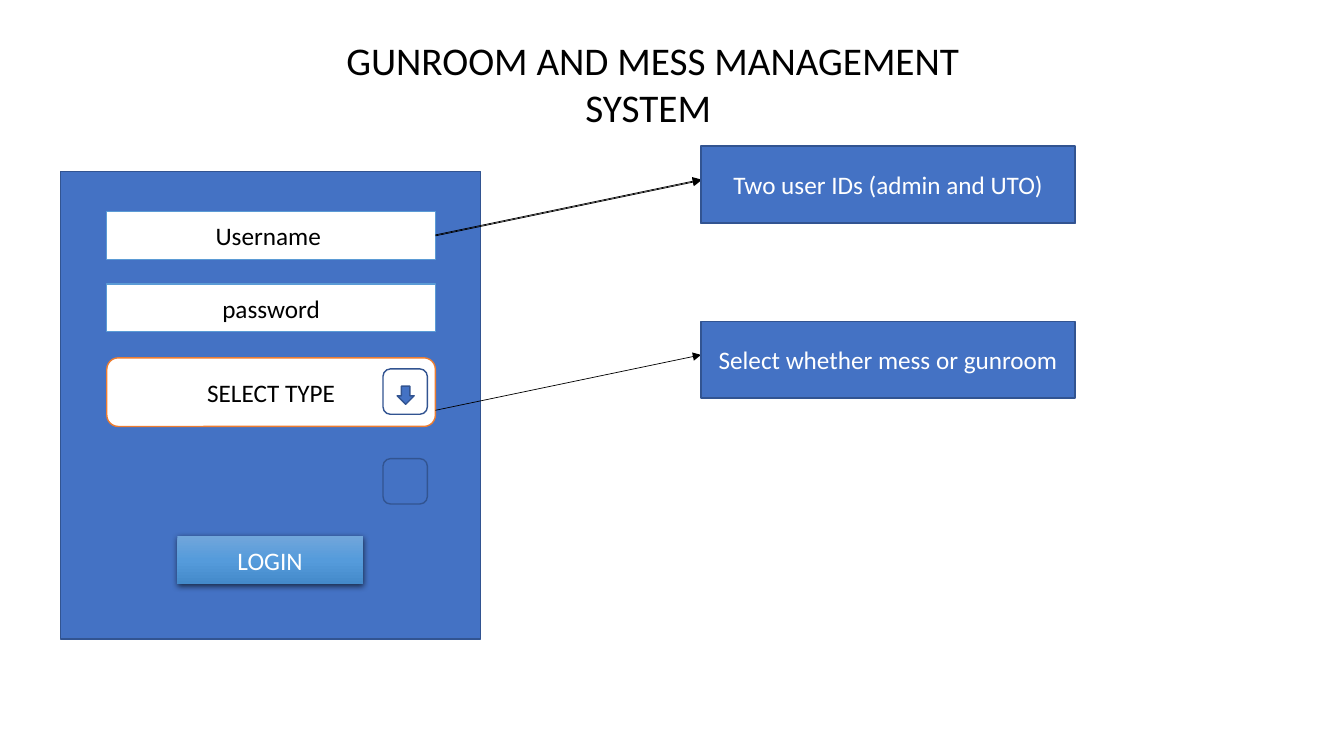
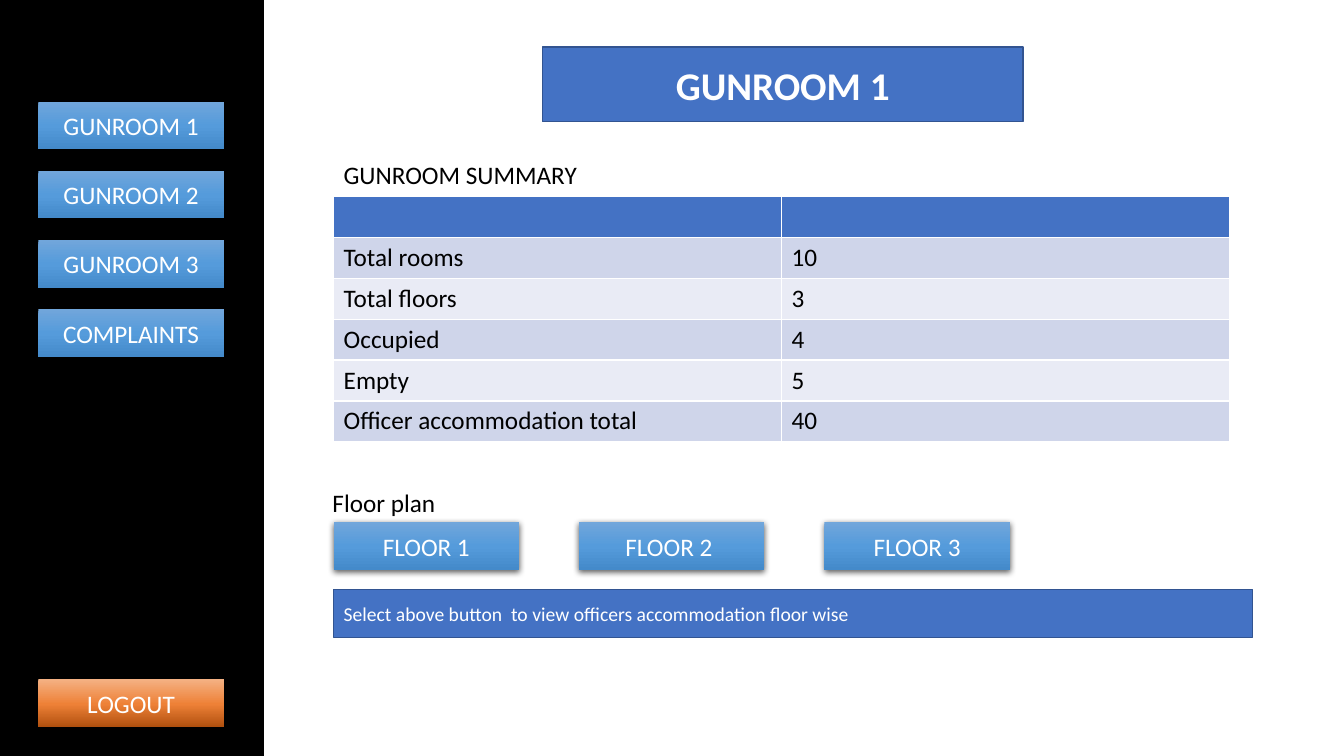
from dataclasses import dataclass
from pptx import Presentation
from pptx.dml.color import RGBColor
from pptx.enum.shapes import MSO_CONNECTOR, MSO_SHAPE
from pptx.enum.text import MSO_ANCHOR, MSO_AUTO_SIZE, PP_ALIGN
from pptx.oxml import parse_xml
from pptx.oxml.ns import nsdecls, qn
from pptx.util import Pt


@dataclass(frozen=True)
class Theme:
    font: str = "Calibri"
    head: int = 28
    body: int = 18
    note: int = 14
    white: str = "FFFFFF"
    black: str = "000000"
    blue: str = "4472C4"
    edge: str = "325491"
    sky: str = "5B9BD5"
    orange: str = "ED7D31"
    bands: tuple = ("CFD5EA", "E9EBF5")
    cool: tuple = ((0, "71A6DB"), (50, "559BDB"), (100, "448ACA"))
    warm: tuple = ((0, "F4B183"), (52, "EE8137"), (100, "B0500F"))


T = Theme()
KEY = 132.5, 34  # width and height of every button


# Shared parts
def color(code):
    return RGBColor.from_string(code)


def write(frame, text, size=T.body, ink=T.white, align=PP_ALIGN.CENTER,
          anchor=MSO_ANCHOR.MIDDLE, bold=False):
    frame.text = text
    frame.word_wrap = True
    frame.auto_size = MSO_AUTO_SIZE.NONE
    frame.vertical_anchor = anchor
    for para in frame.paragraphs:
        para.alignment = align
        for run in para.runs:
            font = run.font
            font.name, font.size, font.bold = T.font, Pt(size), bold
            font.color.rgb = color(ink)


def place(shape, box):
    shape.left, shape.top, shape.width, shape.height = map(Pt, box)


def paint(shape, fill, line):
    if fill:
        shape.fill.solid()
        shape.fill.fore_color.rgb = color(fill)
    else:
        shape.fill.background()
    if line:
        shape.line.color.rgb = color(line)
        shape.line.width = Pt(1)
    else:
        shape.line.fill.background()


def block(slide, box, text="", fill=T.blue, line=T.edge,
          kind=MSO_SHAPE.RECTANGLE, **style):
    shape = slide.shapes.add_shape(kind, *map(Pt, box))
    shape.shadow.inherit = False
    paint(shape, fill, line)
    if text:
        write(shape.text_frame, text, **style)
    return shape


def button(slide, left, top, text, stops=T.cool, shade=True):
    shape = block(slide, (left, top, *KEY), text, None, None)
    props = shape.element.spPr
    marks = "".join(f'<a:gs pos="{pos * 1000}"><a:srgbClr val="{code}"/></a:gs>'
                    for pos, code in stops)
    props.replace(props.find(qn("a:noFill")), parse_xml(
        f'<a:gradFill {nsdecls("a")}><a:gsLst>{marks}</a:gsLst>'
        '<a:lin ang="5400000" scaled="0"/></a:gradFill>'))
    if shade:
        props.find(qn("a:effectLst")).append(parse_xml(
            f'<a:outerShdw {nsdecls("a")} blurRad="57150" dist="19050" '
            'dir="5400000" algn="ctr" rotWithShape="0">'
            f'<a:srgbClr val="{T.black}"><a:alpha val="63000"/></a:srgbClr>'
            '</a:outerShdw>'))


def label(slide, box, text):
    shape = slide.shapes.add_textbox(*map(Pt, box))
    write(shape.text_frame, text, ink=T.black, align=PP_ALIGN.LEFT,
          anchor=MSO_ANCHOR.TOP)


def title(slide, box, text, **style):
    shape = slide.shapes.title
    place(shape, box)
    write(shape.text_frame, text, size=T.head, **style)
    return shape


def arrow(slide, start, end):
    link = slide.shapes.add_connector(MSO_CONNECTOR.STRAIGHT,
                                      *map(Pt, (*start, *end)))
    link.line.color.rgb = color(T.black)
    link.line.width = Pt(0.5)
    link.line._get_or_add_ln().append(
        parse_xml(f'<a:tailEnd {nsdecls("a")} type="triangle"/>'))
    link.element.spPr.append(parse_xml(f'<a:effectLst {nsdecls("a")}/>'))


# Login slide
def form(slide, box):
    left, top, wide, tall = box
    block(slide, box)
    edge, span = left + 33.1, 234.7
    for step, text in enumerate(("Username ", "password")):
        block(slide, (edge, top + 28.8 + 51.8 * step, span, 34), text,
              T.white, T.sky, ink=T.black)
    block(slide, (edge, top + 133.2, span, 49), "SELECT TYPE", T.white,
          T.orange, MSO_SHAPE.ROUNDED_RECTANGLE, ink=T.black)
    block(slide, (left + 240.5, top + 153.4, 12.2, 13),
          kind=MSO_SHAPE.DOWN_ARROW)
    for drop in (141.1, 205.2):
        block(slide, (left + 230.4, top + drop, 31.7, 32.4), fill=None,
              kind=MSO_SHAPE.ROUNDED_RECTANGLE)
    button(slide, left + 83.5, top + 260.6, "LOGIN")
    return edge + span


def hint(slide, box, text, start):
    left, top = box[:2]
    arrow(slide, (start, top + 63.4), (left, top + 23.8))
    block(slide, box, text)


def login(slide):
    title(slide, (210.2, 22.3, 511.9, 74.9),
          "GUNROOM AND MESS MANAGEMENT SYSTEM ",
          ink=T.black, anchor=MSO_ANCHOR.TOP)
    start = form(slide, (43.2, 122.4, 300.2, 334.1))
    users = "Two user IDs (admin and UTO)"
    for top, text in ((105.1, users), (104.4, users),
                      (229.7, "Select whether mess or gunroom")):
        hint(slide, (500.8, top, 267.1, 54.7), text, start)


# Gunroom slide
def menu(slide, box):
    left, top, wide, tall = box
    block(slide, box, fill=T.black, line=T.black)
    edge = left + 27.4
    names = "GUNROOM 1", "GUNROOM 2", "GUNROOM 3", "COMPLAINTS"
    for step, name in enumerate(names):
        button(slide, edge, top + 72.5 + 49.5 * step, name)
    button(slide, edge, top + tall - 54.7, "LOGOUT", T.warm, False)


def summary(slide, box):
    left, top, wide, tall = box
    label(slide, (left, top, 428.4, 28.8), "GUNROOM SUMMARY ")
    rows = (("", ""), ("Total rooms ", "10"), ("Total floors ", "3"),
            ("Occupied ", "4"), ("Empty", "5"),
            ("Officer accommodation total ", "40"))
    grid = slide.shapes.add_table(
        len(rows), 2, *map(Pt, (left, top + 30.2, wide, tall - 30.2))).table
    for y, row in enumerate(rows):
        for x, text in enumerate(row):
            cell = grid.cell(y, x)
            cell.fill.solid()
            cell.fill.fore_color.rgb = color(
                T.bands[(y - 1) % 2] if y else T.blue)
            if text:
                cell.text = text
                font = cell.text_frame.paragraphs[0].runs[0].font
                font.name, font.size = T.font, Pt(T.body)
                font.color.rgb = color(T.black)


def floors(slide, box):
    left, top, wide, tall = box
    label(slide, (left - 7.9, top, 428.4, 28.8), "Floor plan")
    for step, name in enumerate(("FLOOR 1", "FLOOR 2 ", "FLOOR 3")):
        button(slide, left + 175.3 * step, top + 28.8, name)
    block(slide, (left, top + tall - 34, wide, 34),
          "Select above button  to view officers accommodation floor wise",
          size=T.note, align=PP_ALIGN.LEFT)


def room(slide):
    menu(slide, (0, 0, 188, 540))
    head = title(slide, (387.4, 33.5, 343.4, 53.5), "GUNROOM 1", bold=True)
    paint(head, T.blue, T.edge)
    summary(slide, (238.3, 110.2, 640, 205.2))
    floors(slide, (238.3, 344.2, 656.6, 111))


deck = Presentation()
deck.slide_width, deck.slide_height = Pt(960), Pt(540)
for build in (login, room):
    build(deck.slides.add_slide(deck.slide_layouts[5]))
deck.save("out.pptx")
